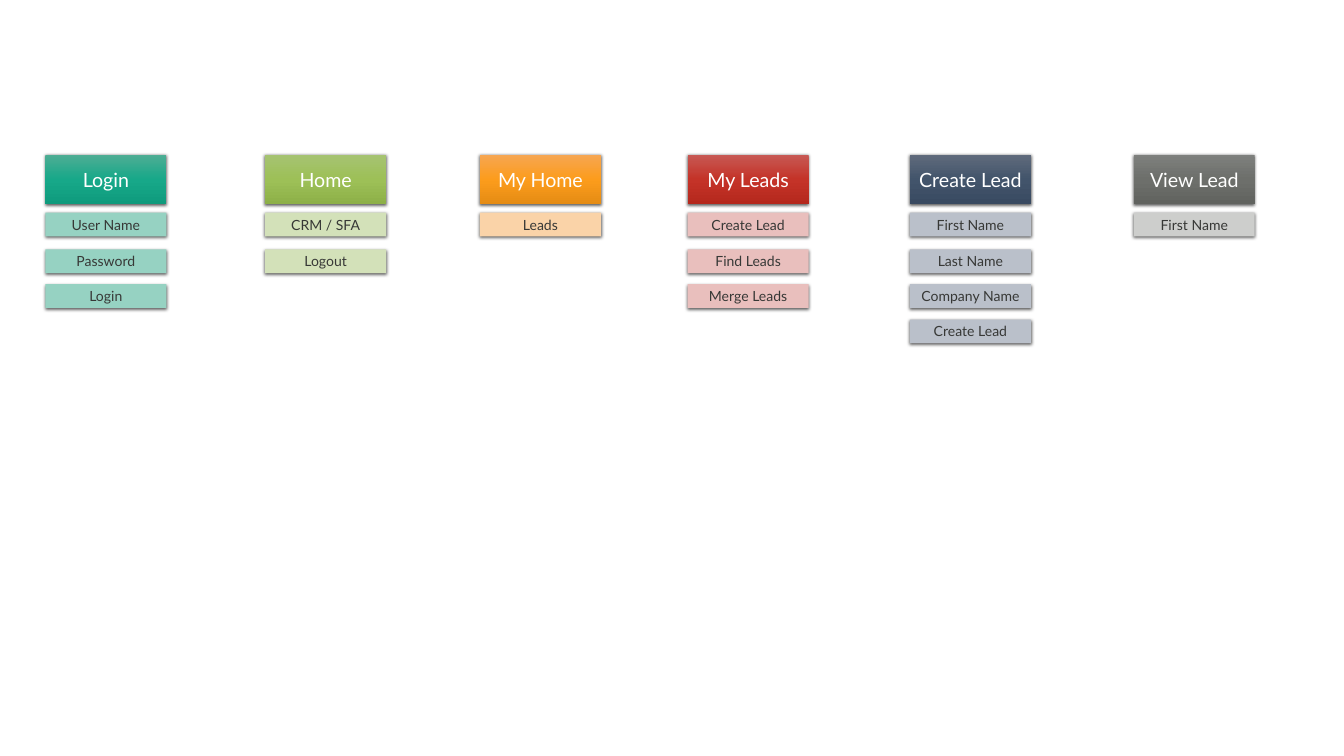
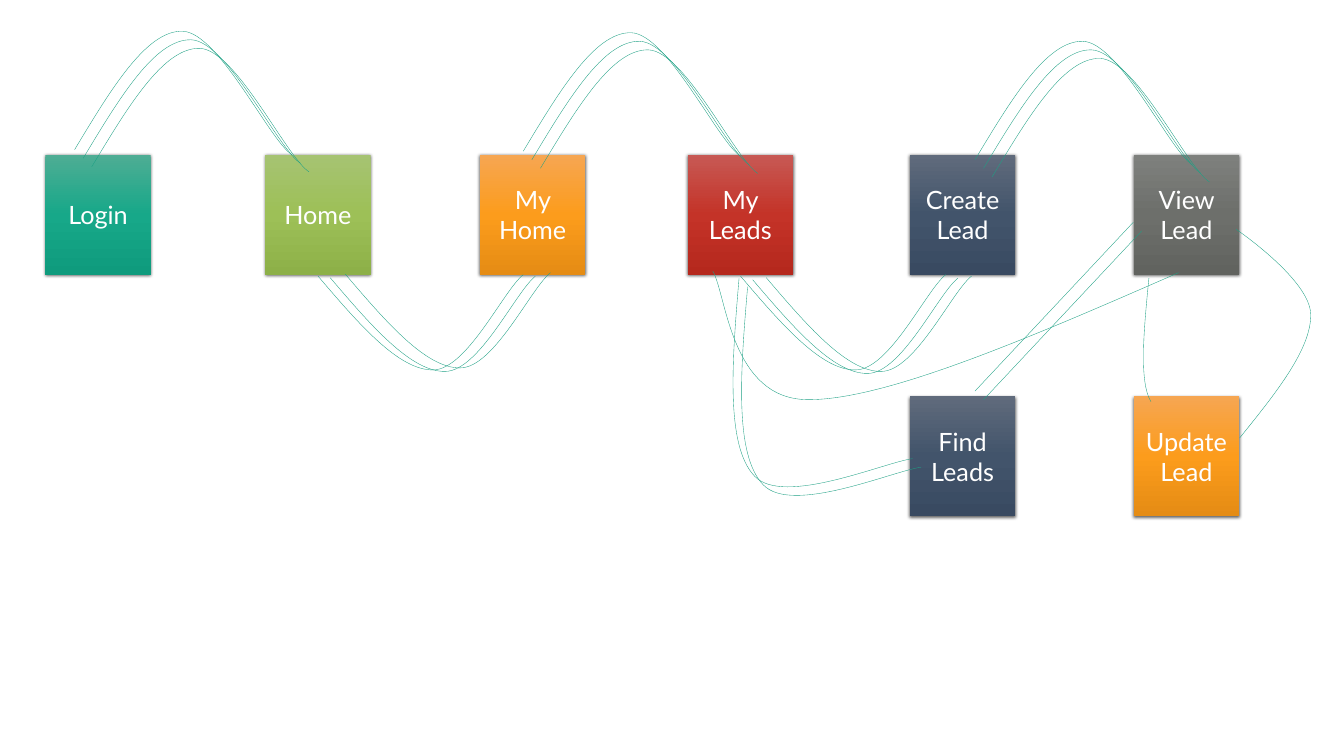
from copy import deepcopy

from lxml import etree
from pptx import Presentation
from pptx import util as u
from pptx.dml import color
from pptx.enum import shapes, text
from pptx.oxml import ns

FONT = "Lato"
WHITE = "FFFFFF"
DARK = "373836"
CURVE = "1EA185"
GREEN = ["4EAD94", "17A889", "0F9B7D"]
LIME = ["A6C372", "9DC057", "8DB048"]
ORANGE = ["F6A652", "FC9C1C", "E58C14"]
RED = ["C75954", "C43328", "B5281D"]
NAVY = ["606B7C", "42546B", "394A61"]
GREY = ["7E807D", "6D6F6B", "61635F"]

screens = [
    ("Login", 0.9, GREEN, "96D2C2", ["User Name", "Password", "Login"]),
    ("Home", 5.26, LIME, "D3E1B9", ["CRM / SFA", "Logout"]),
    ("My Home", 9.52, ORANGE, "FAD3A8", ["Leads"]),
    ("My Leads", 13.64, RED, "E9BFBD", ["Create Lead", "Find Leads", "Merge Leads"]),
    ("Create Lead", 18.05, NAVY, "BAC0CA",
     ["First Name", "Last Name", "Company Name", "Create Lead"]),
    ("View Lead", 22.49, GREY, "CDCECC", ["First Name"]),
]
SCREEN_TOP = 3.07
FIELD_TOPS = [4.22, 4.95, 5.64, 6.34]


def add_card(slide, label, left, top, width, height, colours, size, font_colour):
    shape = slide.shapes.add_shape(
        shapes.MSO_SHAPE.RECTANGLE,
        u.Inches(left), u.Inches(top), u.Inches(width), u.Inches(height))
    properties = shape._element.spPr
    if len(colours) == 1:
        shape.fill.solid()
        shape.fill.fore_color.rgb = color.RGBColor.from_string(colours[0])
    else:
        shape.fill.gradient()
        shape.fill.gradient_angle = 270
        stop_list = properties.find(ns.qn("a:gradFill")).find(ns.qn("a:gsLst"))
        stop_list.append(deepcopy(stop_list[0]))
        for index, stop in enumerate(shape.fill.gradient_stops):
            stop.position = index / 2
            stop.color.rgb = color.RGBColor.from_string(colours[index])
    shape.line.fill.background()

    shape.shadow.inherit = False
    shadow = etree.SubElement(
        properties.find(ns.qn("a:effectLst")), ns.qn("a:outerShdw"),
        blurRad=str(u.Pt(4.5)), dist=str(u.Pt(1.5)), dir="5400000", rotWithShape="0")
    shade = etree.SubElement(shadow, ns.qn("a:srgbClr"), val="000000")
    etree.SubElement(shade, ns.qn("a:alpha"), val="63000")

    frame = shape.text_frame
    frame.word_wrap = True
    frame.vertical_anchor = text.MSO_ANCHOR.MIDDLE
    paragraph = frame.paragraphs[0]
    paragraph.alignment = text.PP_ALIGN.CENTER
    run = paragraph.add_run()
    run.text = label
    run.font.name = FONT
    run.font.size = u.Pt(size)
    run.font.color.rgb = color.RGBColor.from_string(font_colour)


def add_curve(slide, left, top, points):
    placed = [(u.Inches(left + x), u.Inches(top + y)) for x, y in points]
    builder = slide.shapes.build_freeform(*placed[0])
    builder.add_line_segments(placed[1:], close=False)
    shape = builder.convert_to_shape()
    outline = next(shape._element.iter(ns.qn("a:path")))
    segments = outline.findall(ns.qn("a:lnTo"))
    if len(segments) > 1:
        for start in range(0, len(segments), 3):
            bezier = etree.SubElement(outline, ns.qn("a:cubicBezTo"))
            for segment in segments[start:start + 3]:
                bezier.append(segment[0])
                outline.remove(segment)
    shape.fill.background()
    shape.line.color.rgb = color.RGBColor.from_string(CURVE)
    shape.line.width = u.Pt(0.5)
    shape.shadow.inherit = False


presentation = Presentation()
presentation.slide_width = u.Inches(26.66)
presentation.slide_height = u.Inches(15)
blank = presentation.slide_layouts[6]

fields_slide = presentation.slides.add_slide(blank)
for label, left, gradient, tint, fields in screens:
    add_card(fields_slide, label, left, SCREEN_TOP, 2.4, 0.98, gradient, 28, WHITE)
    for field, top in zip(fields, FIELD_TOPS):
        add_card(fields_slide, field, left, top, 2.4, 0.47, [tint], 20, DARK)

flow_slide = presentation.slides.add_slide(blank)
flow_cards = [(label, left, SCREEN_TOP, gradient)
              for label, left, gradient, tint, fields in screens]
flow_cards += [("Find Leads", 18.05, 7.86, NAVY), ("Update Lead", 22.49, 7.86, ORANGE)]
for label, left, top, gradient in flow_cards:
    add_card(flow_slide, label, left, top, 2.09, 2.38, gradient, 36, WHITE)

arch = [(0, 0), (0.71, -1.18), (1.42, -2.37), (2.14, -2.35),
        (2.86, -2.33), (3.86, -0.19), (4.31, 0.1)]
dip = [(0, 0), (0.8, 0.94), (1.6, 1.87), (2.28, 1.86),
       (2.95, 1.86), (3.68, 0.28), (4.07, -0.03)]
find_sweep = [(0, 0), (-0.14, 1.66), (-0.27, 3.33), (0.31, 3.93),
              (0.88, 4.53), (2.87, 3.66), (3.44, 3.58)]
find_to_view = [(0, 0), (3.14, -3.35)]
view_to_update = [(0, 0), (-0.1, 1.02), (-0.2, 2.05), (0.04, 2.45)]
update_to_view = [(0, 0), (0.71, -0.88), (1.42, -1.76), (1.41, -2.45),
                  (1.4, -3.14), (-0.07, -4.14), (-0.07, -4.14)]
view_to_leads = [(0, 0), (-2.9, 1.27), (-5.81, 2.53), (-7.35, 2.52),
                 (-8.89, 2.52), (-8.97, 0.43), (-9.24, -0.03)]

STRAND_STEP = 0.17
strands = [
    (arch, 1.48, 2.97, 3),
    (arch, 10.38, 3.0, 3),
    (arch, 19.34, 3.17, 3),
    (find_sweep, 14.66, 5.52, 2),
    (find_to_view, 19.34, 7.76, 2),
    (view_to_update, 22.79, 5.52, 1),
    (update_to_view, 24.59, 8.69, 1),
    (view_to_leads, 23.38, 5.41, 1),
]
for points, left, top, count in strands:
    for index in range(count):
        add_curve(flow_slide, left + index * STRAND_STEP, top + index * STRAND_STEP, points)

dip_starts = [(6.31, 5.48), (6.55, 5.51), (6.85, 5.44),
              (14.69, 5.48), (14.93, 5.55), (15.2, 5.51)]
for left, top in dip_starts:
    add_curve(flow_slide, left, top, dip)

presentation.save("out.pptx")
